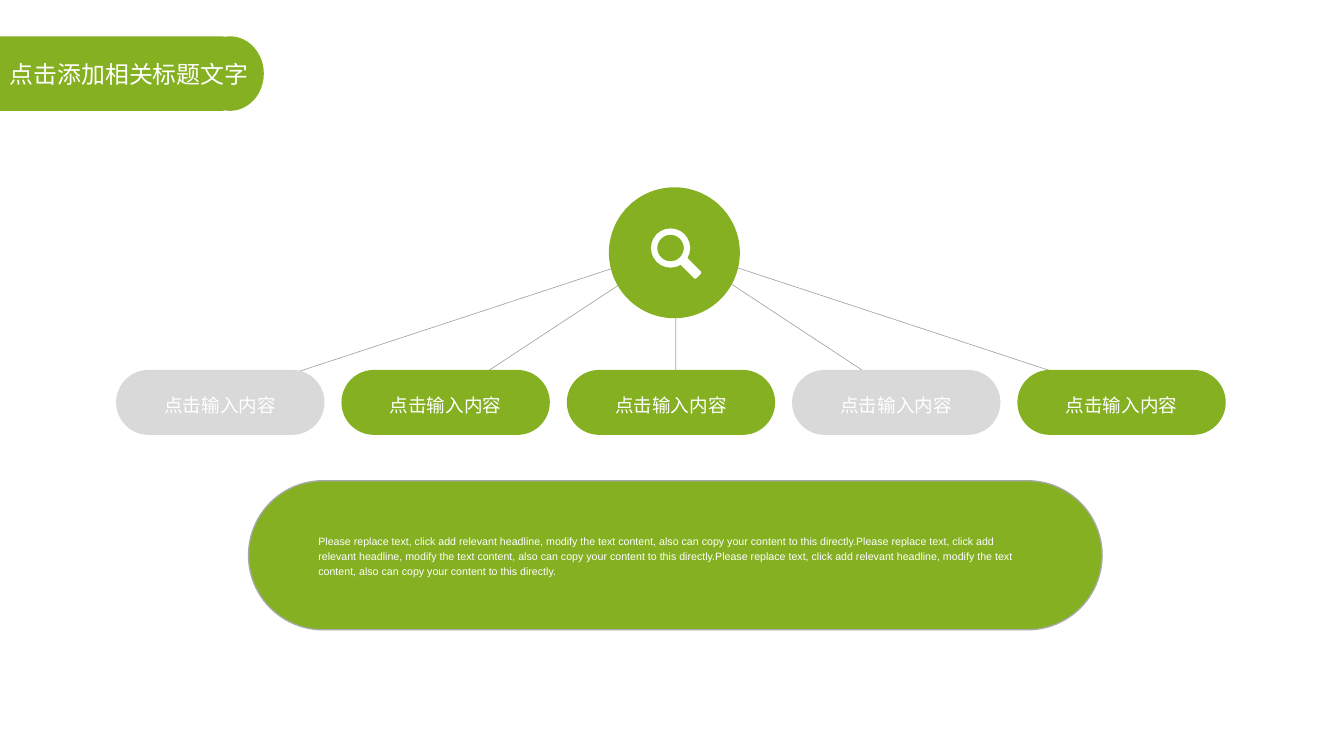
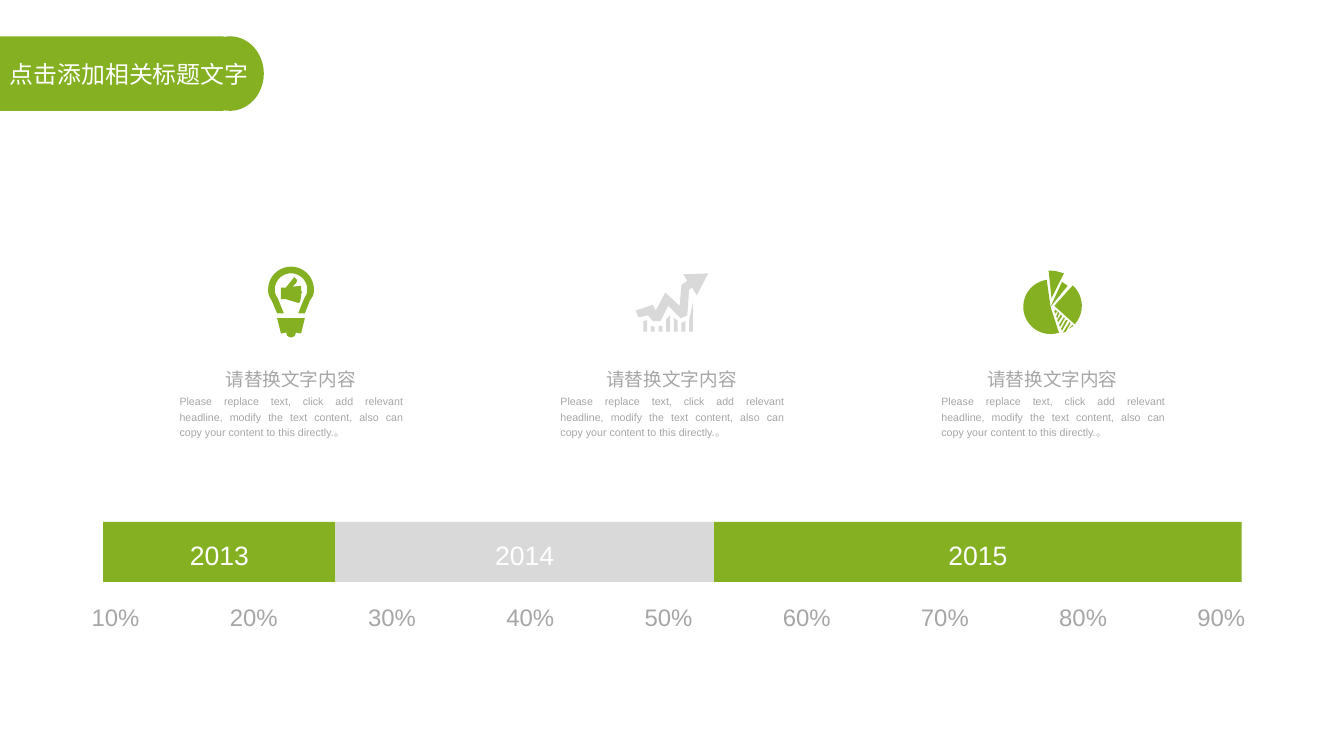
from math import cos, radians, sin

from lxml.etree import SubElement
from pptx import Presentation
from pptx.dml.color import RGBColor
from pptx.enum.shapes import MSO_CONNECTOR, MSO_SHAPE
from pptx.enum.text import MSO_ANCHOR, MSO_AUTO_SIZE, PP_ALIGN
from pptx.oxml.ns import qn
from pptx.util import Inches, Pt

GREEN = RGBColor(0x84, 0xB0, 0x22)
PALE = RGBColor(0xD9, 0xD9, 0xD9)
GREY = RGBColor(0xA6, 0xA6, 0xA6)
EDGE = RGBColor(0xA6, 0xAA, 0xA9)
WHITE = RGBColor(0xFF, 0xFF, 0xFF)

CELL = Inches(0.1)
COLS, ROWS = 140.6, 79.1
HAN = "Noto Sans CJK SC"
TITLE = "点击添加相关标题文字"
PLEA = ("Please replace text, click add relevant headline, modify the text "
        "content, also can copy your content to this directly.")


def span(*cells):
    return [round(cell * CELL) for cell in cells]


def arc(x, y, size, start, end, steps=24):
    turns = [radians(start + (end - start) * i / steps) for i in range(steps + 1)]
    return [(x + size * cos(t), y + size * sin(t)) for t in turns]


def write(frame, text, size=14, color=WHITE, font="Arial", align=PP_ALIGN.CENTER,
          anchor=MSO_ANCHOR.MIDDLE, wrap=True, inset=(1, 0.5), lead=1.2, before=0):
    frame.auto_size = MSO_AUTO_SIZE.NONE
    frame.word_wrap = wrap
    frame.vertical_anchor = anchor
    frame.margin_left = frame.margin_right = span(inset[0])[0]
    frame.margin_top = frame.margin_bottom = span(inset[1])[0]
    para = frame.paragraphs[0]
    para.alignment = align
    para.line_spacing = lead
    para.space_before = Pt(before)
    run = para.add_run()
    run.text = text
    run.font.size = Pt(size)
    run.font.color.rgb = color
    run.font.name = font
    SubElement(run.font._element, qn("a:ea"), typeface=HAN)


class Deck:
    def __init__(self):
        self.show = Presentation()
        self.show.slide_width, self.show.slide_height = span(COLS, ROWS)
        self.plan = self.show.slide_layouts[5]
        for holder in list(self.plan.placeholders)[1:]:
            holder.element.getparent().remove(holder.element)
        self.page = None

    def start(self, text):
        first = self.page is None
        self.page = self.show.slides.add_slide(self.plan)
        if first:
            self.band()
        title = self.page.shapes.title
        title.left, title.top, title.width, title.height = span(0, 5.7, 27.6, 4)
        write(title.text_frame, text, size=18, font=HAN, align=PP_ALIGN.LEFT, lead=1)

    def band(self):
        tree = self.plan.shapes.element
        for kind, x, wide in ((MSO_SHAPE.RECTANGLE, 0, 23.4), (MSO_SHAPE.OVAL, 20.5, 7.1)):
            tree.insert(2, self.shape(kind, x, 3.8, wide, 7.8).element)

    def paint(self, shape, fill, line=None):
        shape.shadow.inherit = False
        shape.fill.solid()
        shape.fill.fore_color.rgb = fill
        if line:
            shape.line.color.rgb = line
            shape.line.width = Pt(1)
        else:
            shape.line.fill.background()
        return shape

    def shape(self, kind, x, y, wide, high, fill=GREEN, line=None, bend=None):
        shape = self.page.shapes.add_shape(kind, *span(x, y, wide, high))
        if bend is not None:
            shape.adjustments[0] = bend
        return self.paint(shape, fill, line)

    def pill(self, *place, **look):
        return self.shape(MSO_SHAPE.ROUNDED_RECTANGLE, *place, bend=0.5, **look)

    def text(self, x, y, wide, high, words, **look):
        box = self.page.shapes.add_textbox(*span(x, y, wide, high))
        write(box.text_frame, words, **look)

    def line(self, *ends):
        line = self.page.shapes.add_connector(MSO_CONNECTOR.STRAIGHT, *span(*ends))
        line.line.color.rgb = GREY
        line.line.width = Pt(0.5)
        SubElement(line.element.spPr, qn("a:effectLst"))

    def icon(self, *rings, fill=GREEN):
        pen = None
        for ring in rings:
            head, *rest = [span(*dot) for dot in ring]
            if pen is None:
                pen = self.page.shapes.build_freeform(*head, scale=1.0)
            else:
                pen.move_to(*head)
            pen.add_line_segments(rest, close=True)
        self.paint(pen.convert_to_shape(), fill)


def tree_page(deck):
    deck.start(TITLE)
    for i in range(5):
        deck.line(70.7, 25.9, 22.95 + 23.87 * i, 41.6)
    for i, fill in enumerate((PALE, GREEN, GREEN, PALE, GREEN)):
        pill = deck.pill(12.15 + 23.57 * i, 38.7, 21.8, 6.8, fill=fill)
        write(pill.text_frame, "点击输入内容", inset=(0, 0), before=10)
    deck.pill(26, 50.3, 89.3, 15.6, line=EDGE)
    deck.text(33.3, 53.7, 73.8, 8.7, PLEA * 3, size=8, align=PP_ALIGN.LEFT,
              inset=(0, 0), before=10)
    deck.shape(MSO_SHAPE.OVAL, 63.7, 19.6, 13.7, 13.7)
    deck.shape(MSO_SHAPE.DONUT, 68.1, 23.9, 4.1, 4.1, fill=WHITE, bend=0.16)
    grip = deck.shape(MSO_SHAPE.ROUNDED_RECTANGLE, 70.95, 27.5, 2.5, 1, fill=WHITE, bend=0.2)
    grip.rotation = 45


def bulb(deck):
    glass = [*arc(30.45, 30.3, 2.4, 165, 375),
             (32.4, 31.5), (31.9, 32.8), (31.2, 32.8), (31.8, 31.3),
             *arc(30.45, 30.3, 1.7, 375, 165),
             (29.1, 31.3), (29.7, 32.8), (29, 32.8), (28.5, 31.6)]
    base = [(29, 33.3), (31.9, 33.3), (31.5, 34.9),
            *arc(30.45, 34.8, 0.5, 0, 180), (29.4, 34.9)]
    thumb = [(31.5, 29.9), (31.5, 30.4), (31.6, 30.6), (31.5, 30.8), (31.5, 31),
             (31.4, 31.6), (31.2, 31.7), (29.9, 31.3), (29.4, 31.3), (29.4, 30.1),
             (29.9, 30.1), (30.8, 29), (31.1, 29.3), (31, 29.6), (30.6, 30)]
    deck.icon(glass, base, thumb)


def growth(deck):
    arrow = [(74.1, 28.6), (72.9, 30.9), (72.4, 30.1), (72.1, 30.3), (71.9, 33),
             (71.2, 33.3), (69.9, 32), (69.1, 33.6), (68.3, 33.6), (67.8, 33),
             (66.8, 33.2), (66.5, 32.5), (68.3, 31.9), (68.6, 32.5), (69.6, 30.6),
             (71.1, 32), (71.3, 29.8), (71.9, 29.4), (71.5, 28.7)]
    tops = ((33.6, 33.5), (34.1, 34.2), (34.1, 34.1), (33.4, 33),
            (33.2, 33.6), (33.8, 33.6), (33.5, 31.6))
    bars = []
    for i, (near, far) in enumerate(tops):
        x = 67.3 + 0.8 * i
        bars.append([(x, 34.7), (x, near), (x + 0.4, far), (x + 0.4, 34.7)])
    deck.icon(arrow, *bars, fill=PALE)


def pie(deck):
    main = [(109.9, 32.1), *arc(109.9, 32.1, 2.85, 72, 262)]
    right = [(110.3, 32), *arc(110.3, 32, 2.87, -48, 42)]
    top = [(110, 31.2), (109.7, 28.3), (110.4, 28.35), (111.3, 28.6)]
    thin = [(109.9, 32.1), (111.1, 29.5), (111.7, 29.9)]
    tip = [(112.3, 34.1), (111.8, 34.4), (112.2, 34)]
    bars = [[(111.5, 34.7), (112, 33.8), (111.9, 33.7), (111.2, 34.8)],
            [(111.1, 34.6), (111.7, 33.5), (111.5, 33.5), (111, 34.4)],
            [(110.9, 34.2), (111.4, 33.3), (111.3, 33.2), (110.8, 34)],
            [(110.7, 33.7), (111.1, 33.1), (111, 32.9), (110.6, 33.5)],
            [(110.6, 33.3), (110.8, 32.8), (110.7, 32.6), (110.5, 33.1)],
            [(110.4, 32.8), (110.6, 32.6), (110.4, 32.4), (110.3, 32.6)]]
    deck.icon(main, right, top, thin, tip, *bars)


def time_page(deck):
    deck.start(TITLE)
    look = dict(color=GREY, align=PP_ALIGN.JUSTIFY, anchor=MSO_ANCHOR.TOP)
    for i in range(9):
        deck.text(8.6 + 14.46 * i, 62, 7.1, 4.3, f"{i + 1}0%", size=18, wrap=False, **look)
    x = 10.8
    for year, wide, fill in (("2013", 24.3, GREEN), ("2014", 39.6, PALE), ("2015", 55.2, GREEN)):
        bar = deck.shape(MSO_SHAPE.RECTANGLE, x, 54.6, wide, 6.3, fill=fill)
        write(bar.text_frame, year, size=20)
        x += wide
    for i, draw in enumerate((bulb, growth, pie)):
        draw(deck)
        left = 17.8 + 39.85 * i
        deck.text(left + 4.8, 37.5, 15.8, 3.6, "请替换文字内容", wrap=False, **look)
        deck.text(left, 40.6, 25.4, 5.9, PLEA + "。", size=8, **look)


def main():
    deck = Deck()
    tree_page(deck)
    time_page(deck)
    deck.show.save("out.pptx")


if __name__ == "__main__":
    main()
